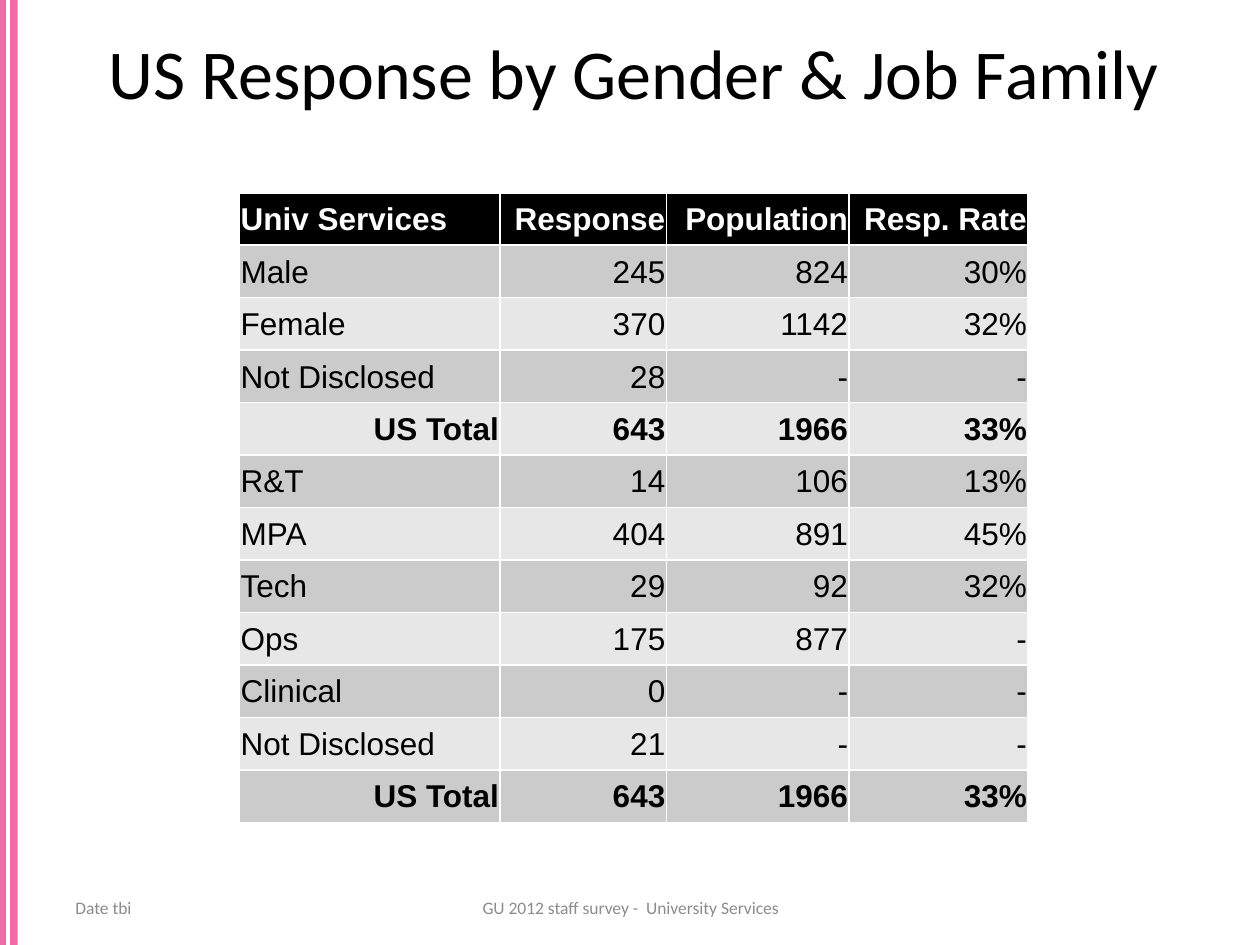
from lxml import etree
from pptx import Presentation
from pptx.dml.color import RGBColor
from pptx.enum.shapes import MSO_SHAPE
from pptx.enum.text import MSO_ANCHOR, PP_ALIGN
from pptx.oxml.ns import qn
from pptx.util import Inches, Pt

RECT = MSO_SHAPE.RECTANGLE
MIDDLE = MSO_ANCHOR.MIDDLE
LEFT, CENTER, RIGHT = PP_ALIGN.LEFT, PP_ALIGN.CENTER, PP_ALIGN.RIGHT

COLORS = {
    "pink": "F16BA8",
    "black": "000000",
    "white": "FFFFFF",
    "gray": "8C8C8C",
    "dark": "CBCBCB",
    "light": "E7E7E7",
}

HEAD = ["Univ Services", "Response", "Population", "Resp. Rate"]
TOTAL = ["US Total", "643", "1966", "33%"]
ROWS = [
    HEAD,
    ["Male", "245", "824", "30%"],
    ["Female", "370", "1142", "32%"],
    ["Not Disclosed", "28", "-", "-"],
    TOTAL,
    ["R&T", "14", "106", "13%"],
    ["MPA", "404", "891", "45%"],
    ["Tech", "29", "92", "32%"],
    ["Ops", "175", "877", "-"],
    ["Clinical", "0", "-", "-"],
    ["Not Disclosed", "21", "-", "-"],
    TOTAL,
]
WIDTHS = [2.07, 1.32, 1.45, 1.42]


class Deck:
    """Holds the style and the current slide."""

    body, data = "Calibri", "Arial"

    def __init__(self, slide):
        self.slide = slide

    def color(self, name):
        return RGBColor.from_string(COLORS[name])

    def label(self, para, text, font, size, color, align, bold=False):
        para.text = text
        para.alignment = align
        para.font.name = font
        para.font.size = Pt(size)
        para.font.bold = bold
        para.font.color.rgb = self.color(color)

    def bar(self, left):
        shape = self.slide.shapes.add_shape(
            RECT, Inches(left), 0, Inches(0.06), Inches(7.5))
        shape.shadow.inherit = False
        shape.fill.solid()
        shape.fill.fore_color.rgb = self.color("pink")
        shape.line.fill.background()

    def text(self, box, text, size, color, align):
        frame = self.slide.shapes.add_textbox(*map(Inches, box)).text_frame
        frame.word_wrap = True
        frame.vertical_anchor = MIDDLE
        self.label(frame.paragraphs[0], text, self.body, size, color, align)

    def border(self, cell, side, width):
        props = cell._tc.get_or_add_tcPr()
        line = etree.SubElement(props, qn(f"a:ln{side}"), w=str(Pt(width)))
        fill = etree.SubElement(line, qn("a:solidFill"))
        etree.SubElement(fill, qn("a:srgbClr"), val=COLORS["white"])

    def cell(self, cell, text, row, col):
        head, total = row == 0, ROWS[row] is TOTAL
        cell.margin_left = cell.margin_right = cell.margin_top = Inches(0.01)
        cell.margin_bottom = 0
        cell.vertical_anchor = MIDDLE
        # The rule under the header is heavier than the others
        heavy = {0: "B", 1: "T"}.get(row)
        for side in "LRTB":
            self.border(cell, side, 1.5 if side == heavy else 1)
        cell.fill.solid()
        shade = "black" if head else "dark" if row % 2 else "light"
        cell.fill.fore_color.rgb = self.color(shade)
        self.label(cell.text_frame.paragraphs[0], text, self.data, 18,
                   "white" if head else "black",
                   RIGHT if col or total else LEFT, head or total)

    def table(self, left, top, height, widths, rows):
        table = self.slide.shapes.add_table(
            len(rows), len(widths), Inches(left), Inches(top),
            Inches(sum(widths)), Inches(height)).table
        for col, width in enumerate(widths):
            table.columns[col].width = Inches(width)
        for r, row in enumerate(rows):
            for c, text in enumerate(row):
                self.cell(table.cell(r, c), text, r, c)


def main():
    prs = Presentation()
    prs.slide_width, prs.slide_height = Inches(10), Inches(7.5)
    deck = Deck(prs.slides.add_slide(prs.slide_layouts[6]))

    # Side stripes
    for left in (0.08, -0.01):
        deck.bar(left)

    # Title
    deck.text((0.5, 0.13, 9.06, 0.87), "US Response by Gender & Job Family",
              40, "black", CENTER)

    # Footer
    deck.text((0.5, 7.06, 2.33, 0.29), "Date tbi", 10, "gray", LEFT)
    deck.text((3.42, 7.06, 3.17, 0.29),
              "GU 2012 staff survey -  University Services",
              10, "gray", CENTER)

    # Response table
    deck.table(1.9, 1.53, 5, WIDTHS, ROWS)

    prs.save("out.pptx")


if __name__ == "__main__":
    main()
